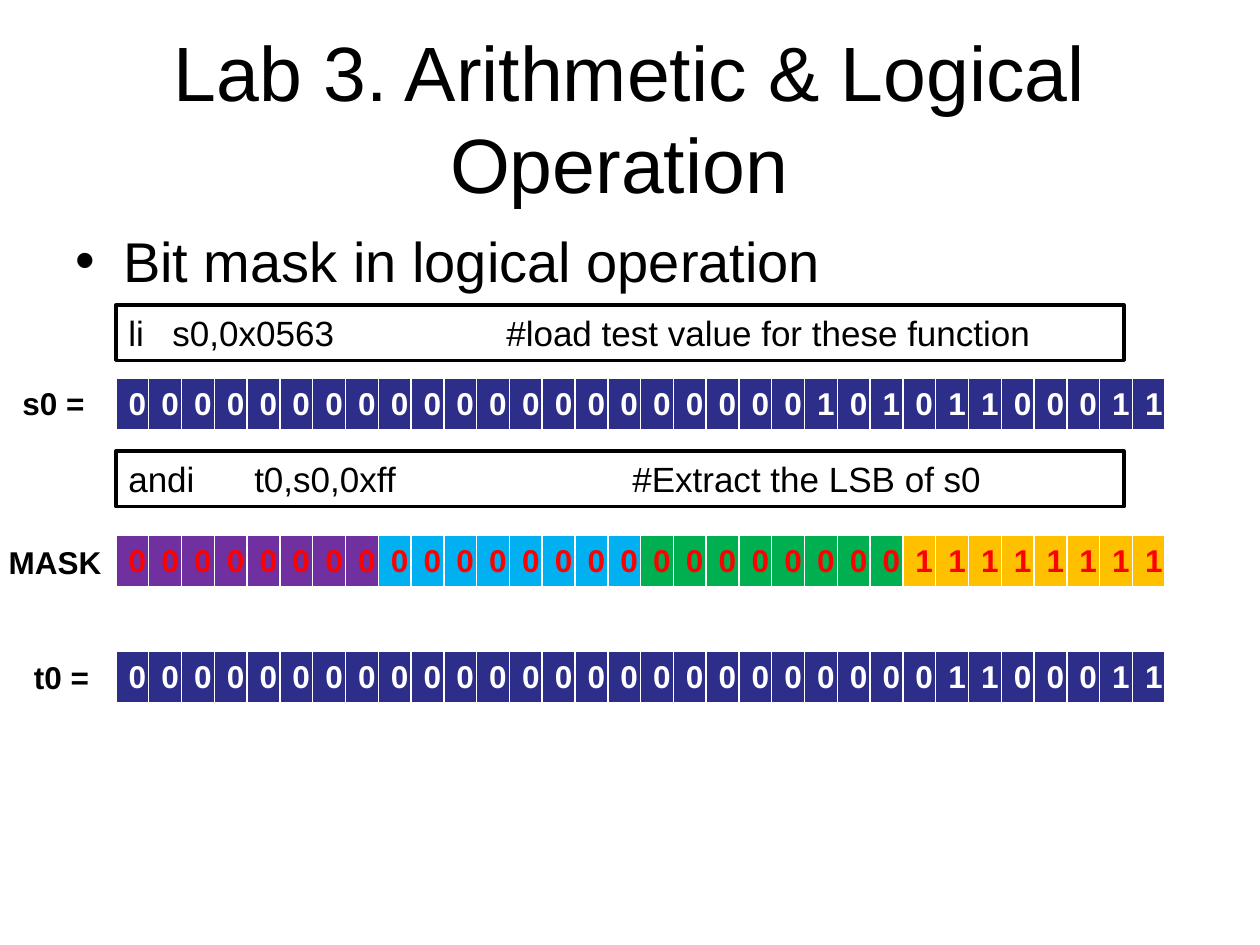
import pptx
import pptx.dml.color
import pptx.enum.shapes
import pptx.enum.text
import pptx.oxml.ns
import pptx.util
import lxml.etree

Inches = pptx.util.Inches
Pt = pptx.util.Pt
ALIGN = pptx.enum.text.PP_ALIGN
ANCHOR = pptx.enum.text.MSO_ANCHOR
qn = pptx.oxml.ns.qn


def rgb(color):
    return pptx.dml.color.RGBColor.from_string(color)


def write(tf, text, size=18, color="000000", bold=False, align=ALIGN.LEFT):
    p = tf.paragraphs[0]
    p.alignment = align
    r = p.add_run()
    r.text = text
    r.font.name = "Arial"
    r.font.size = Pt(size)
    r.font.bold = bold
    r.font.color.rgb = rgb(color)
    return p


prs = pptx.Presentation()
prs.slide_width = Inches(10)
prs.slide_height = Inches(7.5)
s = prs.slides.add_slide(prs.slide_layouts[6])

tf = s.shapes.add_textbox(Inches(0.5), Inches(0.3), Inches(9), Inches(1.25)).text_frame
tf.word_wrap = True
tf.vertical_anchor = ANCHOR.MIDDLE
write(tf, "Lab 3. Arithmetic & Logical Operation ", size=44, align=ALIGN.CENTER)

tf = s.shapes.add_textbox(Inches(0.5), Inches(1.75), Inches(9), Inches(4.95)).text_frame
tf.word_wrap = True
p = write(tf, "Bit mask in logical operation", size=32)
p.space_before = Pt(3.6)
pPr = p._p.get_or_add_pPr()
pPr.set("marL", str(Inches(0.38)))
pPr.set("indent", str(Inches(-0.38)))
lxml.etree.SubElement(pPr, qn("a:buFont"), typeface="Arial")
lxml.etree.SubElement(pPr, qn("a:buChar"), char="•")

instructions = [
    (2.42, "li\ts0,0x0563\t#load test value for these function", (0.35, 3)),
    (3.58, "andi\tt0,s0,0xff\t#Extract the LSB of s0", (1, 4)),
]
for top, code, stops in instructions:
    sp = s.shapes.add_shape(
        pptx.enum.shapes.MSO_SHAPE.RECTANGLE, Inches(0.92), Inches(top), Inches(8), Inches(0.44)
    )
    sp.shadow.inherit = False
    sp.fill.solid()
    sp.fill.fore_color.rgb = rgb("FFFFFF")
    sp.line.color.rgb = rgb("000000")
    sp.line.width = Pt(2)
    sp.text_frame.word_wrap = True
    sp.text_frame.vertical_anchor = ANCHOR.TOP
    p = write(sp.text_frame, code, size=20)
    tabs = lxml.etree.SubElement(p._p.get_or_add_pPr(), qn("a:tabLst"))
    for stop in stops:
        lxml.etree.SubElement(tabs, qn("a:tab"), pos=str(Inches(stop)), algn="l")

test_value, mask = 0x0563, 0xFF
borders = {"a:lnL": 1, "a:lnR": 1, "a:lnT": 1, "a:lnB": 3}
registers = [
    (3, test_value, "FFFFFF", ["2D2D8A"] * 4),
    (4.25, mask, "FF0000", ["7030A0", "00B0F0", "00B050", "FFC000"]),
    (5.17, test_value & mask, "FFFFFF", ["2D2D8A"] * 4),
]
for top, value, color, byte_fills in registers:
    table = s.shapes.add_table(
        1, 32, Inches(0.92), Inches(top), Inches(8.33), Inches(0.42)
    ).table
    for i, bit in enumerate(f"{value:032b}"):
        cell = table.cell(0, i)
        cell.vertical_anchor = ANCHOR.MIDDLE
        write(cell.text_frame, bit, color=color, bold=True, align=ALIGN.CENTER)
        tcPr = cell._tc.get_or_add_tcPr()
        for tag, width in borders.items():
            ln = lxml.etree.SubElement(tcPr, qn(tag), w=str(Pt(width)))
            fill = lxml.etree.SubElement(ln, qn("a:solidFill"))
            lxml.etree.SubElement(fill, qn("a:srgbClr"), val="FFFFFF")
        cell.fill.solid()
        cell.fill.fore_color.rgb = rgb(byte_fills[i // 8])

labels = [
    ("s0 =", 0.08, 3, 0.7),
    ("MASK", -0.03, 4.26, 0.95),
    ("t0 =", 0.17, 5.17, 0.71),
]
for label, left, top, width in labels:
    tf = s.shapes.add_textbox(Inches(left), Inches(top), Inches(width), Inches(0.4)).text_frame
    tf.word_wrap = False
    write(tf, label, bold=True)

prs.save("out.pptx")
